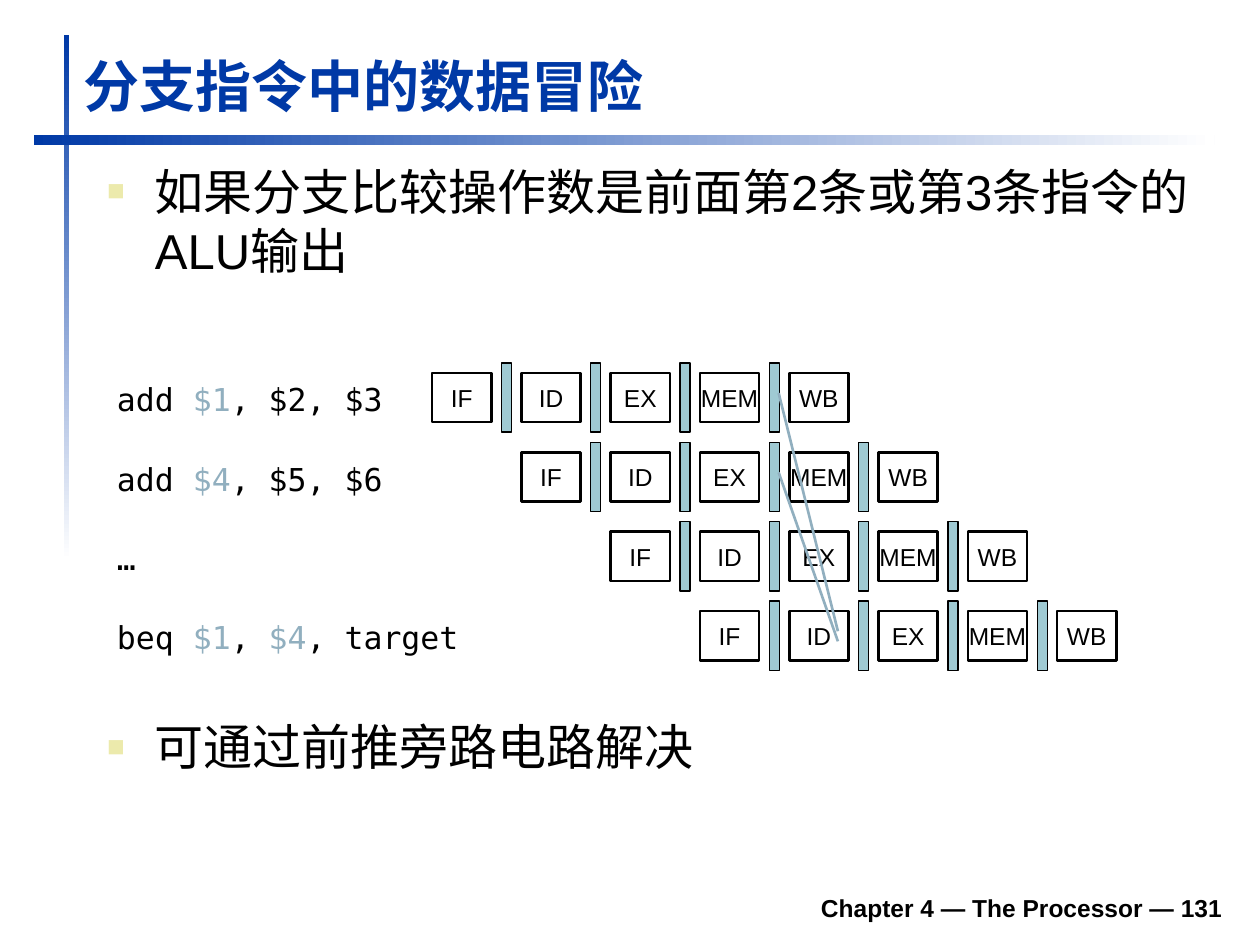
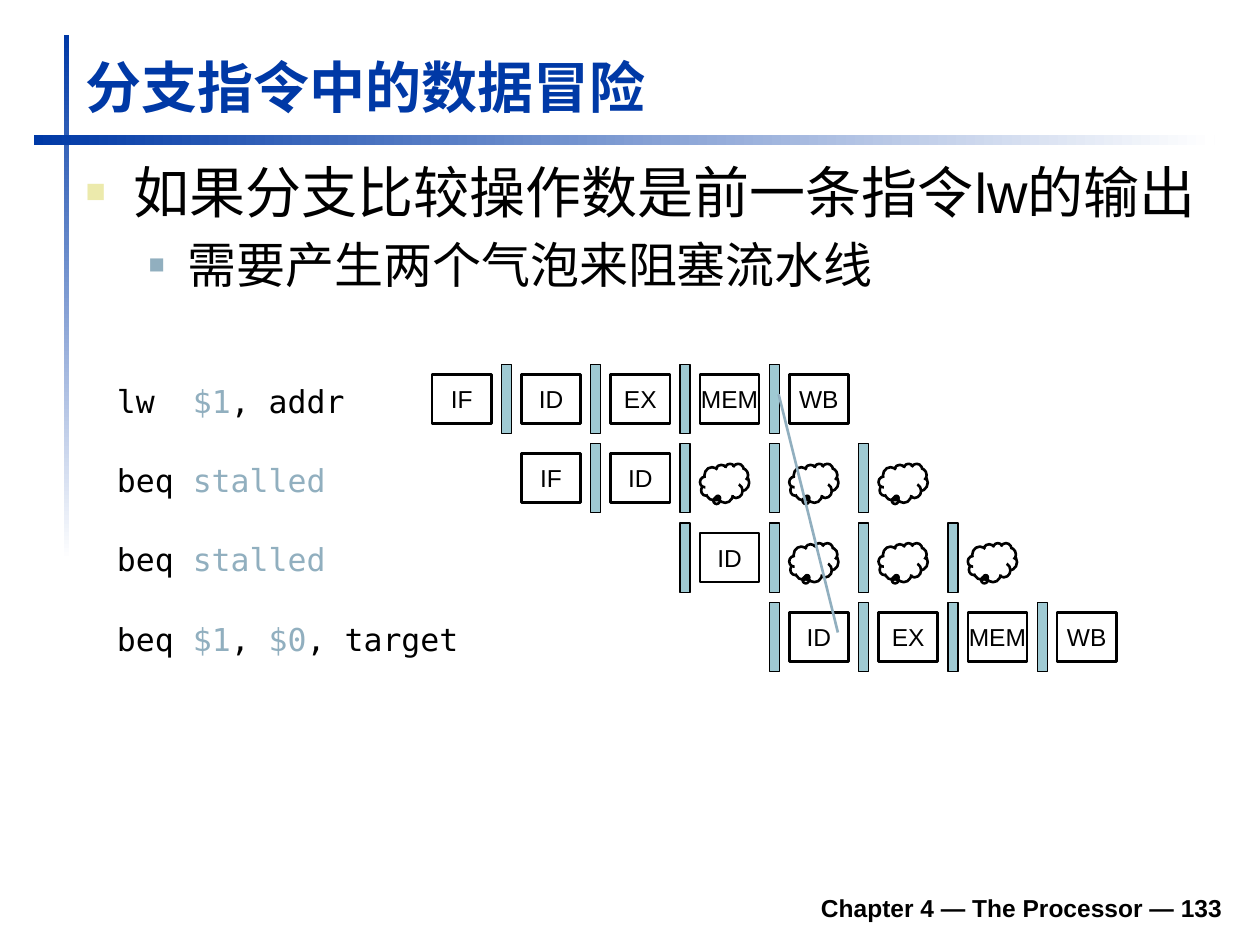
from lxml.etree import SubElement
from pptx import Presentation
from pptx.dml.color import RGBColor
from pptx.enum.shapes import MSO_CONNECTOR, MSO_SHAPE
from pptx.enum.text import MSO_ANCHOR, MSO_AUTO_SIZE, PP_ALIGN
from pptx.oxml.ns import qn
from pptx.util import Inches, Pt

# Shared look
BLUE, BLACK, WHITE = "0039A6", "000000", "FFFFFF"
ACCENT, LATCH, SAND = "91AFBF", "9FCAD3", "ECEAAC"
TITLE = {"name": "Arial", "size": Pt(32), "bold": True}
FOOTER = {"name": "Arial", "size": Pt(14), "bold": True}
STAGE = {"name": "Arial", "size": Pt(14)}
CODE = {"name": "DejaVu Sans Mono", "size": Pt(18)}
BULLETS = [  # left margin, hanging indent, bullet size in %, bullet colour
    (0.38, 0.38, 60, SAND),
    (0.81, 0.31, 55, ACCENT),
]
BANDS = [((0.51, 0.28, 0.04, 4.17), 270), ((0.27, 1.07, 9.37, 0.08), 0)]

# Pipeline grid
LEFT, PITCH, ROW_STEP = 3.43, 4.96 / 7, 0.63
BOX_W, BOX_H = 0.47, 0.39
FULL = ["IF", "ID", "EX", "MEM", "WB"]

# Code marks its highlighted registers with |; "~" is a bubble, "" an empty slot
SLIDES = [
    {
        "layout": 3, "number": 131, "title_at": (0.56, 0.35), "top": 2.96,
        "bodies": [
            ((0.75, 1.23, 9.05, 1.34),
             [(0, 28, "如果分支比较操作数是前面第2条或第3条指令的ALU输出")]),
            ((0.75, 5.64, 8.5, 0.71), [(0, 28, "可通过前推旁路电路解决")]),
        ],
        "rows": [
            ("add |$1|, $2, $3", 2.32, FULL),
            ("add |$4|, $5, $6", 2.32, FULL),
            ("…", 0.35, FULL),
            ("beq |$1|, |$4|, target", 2.92, FULL),
        ],
        "forwards": [(3.12, 5.01), (3.75, 5.09)],
    },
    {
        "layout": 1, "number": 133, "title_at": (0.58, 0.36), "top": 2.97,
        "bodies": [
            ((0.58, 1.2, 9.05, 2.6),
             [(0, 32, "如果分支比较操作数是前一条指令lw的输出"),
              (1, 28, "需要产生两个气泡来阻塞流水线")]),
        ],
        "rows": [
            ("lw  |$1|, addr", 2.01, FULL),
            ("beq |stalled", 1.86, ["IF", "ID", "~", "~", "~"]),
            ("beq |stalled", 1.86, ["", "ID", "~", "~", "~"]),
            ("beq |$1|, |$0|, target", 2.92, ["", "ID", "EX", "MEM", "WB"]),
        ],
        "forwards": [(3.13, 5.02)],
    },
]


def rgb(value):
    return RGBColor.from_string(value)


def add_run(p, text, color, formats):
    r = p.add_run()
    r.text = text
    for key, value in formats.items():
        setattr(r.font, key, value)
    r.font.color.rgb = rgb(color)


prs = Presentation()
prs.slide_width, prs.slide_height = Inches(10), Inches(7.5)

for data in SLIDES:
    s = prs.slides.add_slide(prs.slide_layouts[data["layout"]])

    # Gradient bands
    for at, angle in BANDS:
        sp = s.shapes.add_shape(MSO_SHAPE.RECTANGLE, *map(Inches, at))
        sp.shadow.inherit = False
        sp.line.fill.background()
        sp.fill.gradient()
        sp.fill.gradient_angle = angle
        for stop, color in zip(sp.fill.gradient_stops, (BLUE, WHITE)):
            stop.color.rgb = rgb(color)

    # Title
    sp = s.shapes.title
    sp.left, sp.top = map(Inches, data["title_at"])
    sp.width, sp.height = Inches(9.03), Inches(0.64)
    tf = sp.text_frame
    tf.auto_size, tf.vertical_anchor = MSO_AUTO_SIZE.NONE, MSO_ANCHOR.BOTTOM
    tf.paragraphs[0].alignment = PP_ALIGN.LEFT
    add_run(tf.paragraphs[0], "分支指令中的数据冒险", BLUE, TITLE)

    # Bulleted bodies
    for idx, (at, items) in enumerate(data["bodies"], 1):
        sp = s.placeholders[idx]
        sp.left, sp.top, sp.width, sp.height = map(Inches, at)
        tf = sp.text_frame
        tf.auto_size = MSO_AUTO_SIZE.NONE
        for i, (level, size, text) in enumerate(items):
            p = tf.add_paragraph() if i else tf.paragraphs[0]
            margin, hang, percent, color = BULLETS[level]
            p.level = level
            p.space_before = Pt(5.6 if i else 0)
            pPr = p._p.get_or_add_pPr()
            pPr.set("marL", str(Inches(margin)))
            pPr.set("indent", str(-Inches(hang)))
            clr = SubElement(pPr, qn("a:buClr"))
            SubElement(clr, qn("a:srgbClr"), val=color)
            SubElement(pPr, qn("a:buSzPct"), val=str(percent * 1000))
            SubElement(pPr, qn("a:buFont"), typeface="Arial")
            SubElement(pPr, qn("a:buChar"), char="■")
            add_run(p, text, BLACK, {"name": "Arial", "size": Pt(size)})

    # Code and pipeline, each row one stage later than the row above
    for row, (code, width, stages) in enumerate(data["rows"]):
        y = data["top"] + row * ROW_STEP
        sp = s.shapes.add_textbox(Inches(0.83), Inches(y + 0.01), Inches(width), Inches(0.4))
        sp.text_frame.word_wrap = False
        for i, part in enumerate(code.split("|")):
            add_run(sp.text_frame.paragraphs[0], part, ACCENT if i % 2 else BLACK, CODE)

        for col, stage in enumerate(stages, row):
            x = LEFT + col * PITCH
            parts = []  # shape, position, fill, line width
            if stage == "~":
                parts.append((MSO_SHAPE.CLOUD_CALLOUT, (x, y + 0.08, 0.39, 0.31), None, 1.5))
            elif stage:
                parts.append((MSO_SHAPE.RECTANGLE, (x, y, BOX_W, BOX_H), None, 1.5))
            if col < row + len(stages) - 1:
                parts.append((MSO_SHAPE.RECTANGLE, (x + 0.55, y - 0.08, 0.08, 0.55), LATCH, 0.75))
            for kind, at, fill, weight in parts:
                sp = s.shapes.add_shape(kind, *map(Inches, at))
                sp.shadow.inherit = False
                sp.line.color.rgb, sp.line.width = rgb(BLACK), Pt(weight)
                if fill:
                    sp.fill.solid()
                    sp.fill.fore_color.rgb = rgb(fill)
                    continue
                sp.fill.background()
                if stage == "~":
                    sp.adjustments[0], sp.adjustments[1] = -0.13, 0.36
                    continue
                tf = sp.text_frame
                tf.word_wrap, tf.vertical_anchor = False, MSO_ANCHOR.MIDDLE
                tf.paragraphs[0].alignment = PP_ALIGN.CENTER
                add_run(tf.paragraphs[0], stage, BLACK, STAGE)

    # Forwarding paths
    for y1, y2 in data["forwards"]:
        line = s.shapes.add_connector(MSO_CONNECTOR.STRAIGHT, *map(Inches, (6.18, y1, 6.65, y2)))
        line.line.color.rgb, line.line.width = rgb(ACCENT), Pt(1.5)
        SubElement(line._element.spPr, qn("a:effectLst"))

    # Footer
    sp = s.shapes.add_textbox(*map(Inches, (1.85, 6.98, 7.95, 0.39)))
    tf = sp.text_frame
    tf.word_wrap, tf.vertical_anchor = True, MSO_ANCHOR.BOTTOM
    tf.paragraphs[0].alignment = PP_ALIGN.RIGHT
    add_run(tf.paragraphs[0], f"Chapter 4 — The Processor — {data['number']}", BLACK, FOOTER)

prs.save("out.pptx")
